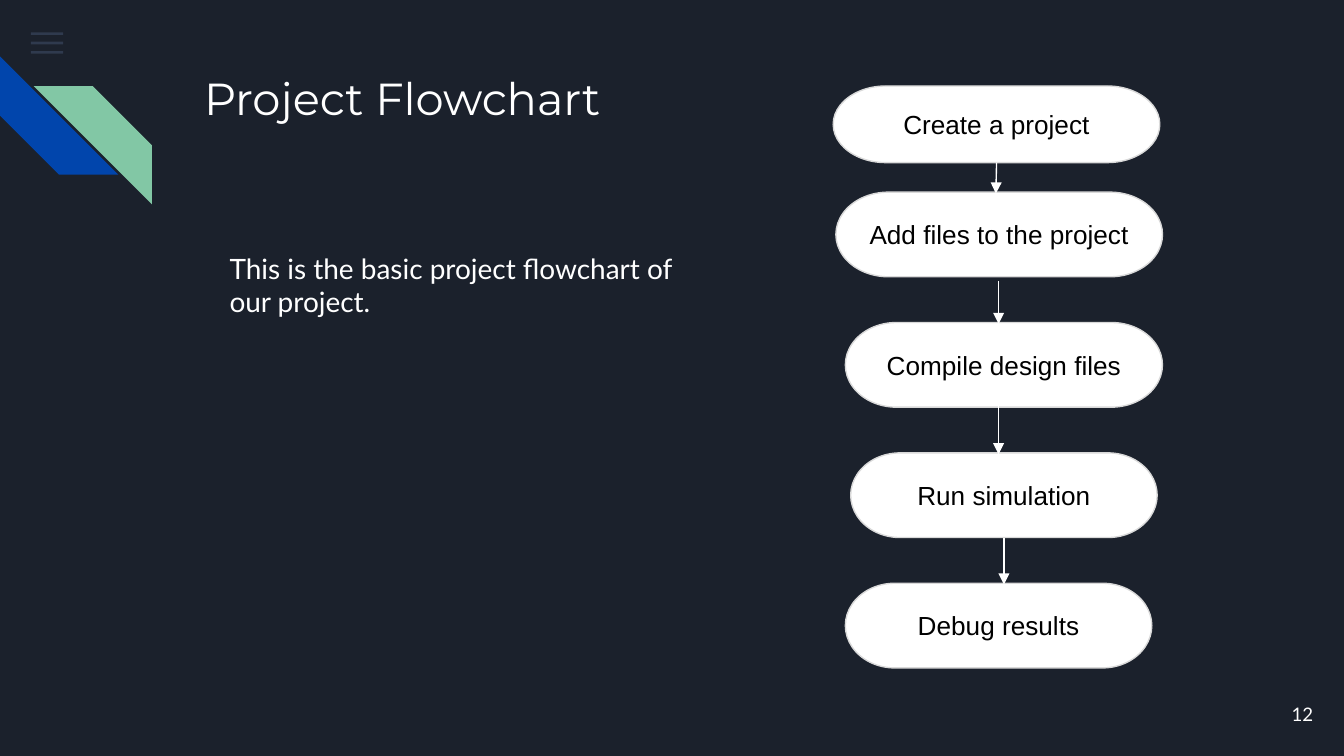
"""Build the project flowchart slide."""
import pptx
import pptx.dml.color
import pptx.enum.shapes
import pptx.enum.text
import pptx.oxml
import pptx.oxml.ns
import pptx.util
from pptx.util import Inches

SHAPE = pptx.enum.shapes.MSO_SHAPE
ALIGN = pptx.enum.text.PP_ALIGN
ANCHOR = pptx.enum.text.MSO_ANCHOR


def rgb(value):
    return pptx.dml.color.RGBColor.from_string(value)


def write(s, text, size=14, font="Arial", color="FFFFFF", align=ALIGN.LEFT, anchor=ANCHOR.TOP):
    tf = s.text_frame
    tf.word_wrap = True
    tf.margin_left = tf.margin_right = tf.margin_top = tf.margin_bottom = Inches(0.1)
    tf.vertical_anchor = anchor
    p = tf.paragraphs[0]
    p.alignment = align
    r = p.add_run()
    r.text = text
    r.font.size = pptx.util.Pt(size)
    r.font.name = font
    r.font.color.rgb = rgb(color)


prs = pptx.Presentation()
prs.slide_width = Inches(10)
prs.slide_height = Inches(10 * 9 / 16)
slide = prs.slides.add_slide(prs.slide_layouts[6])
slide.background.fill.solid()
slide.background.fill.fore_color.rgb = rgb("1B212C")
shapes = slide.shapes
ns = pptx.oxml.ns.nsdecls("a")
qn = pptx.oxml.ns.qn

for i in range(3):
    s = shapes.add_shape(SHAPE.RECTANGLE, Inches(0.23), Inches(0.24 + 0.07 * i), Inches(0.24), Inches(0.02))
    s.shadow.inherit = False
    s.fill.solid()
    s.fill.fore_color.rgb = rgb("55688B")
    s.line.fill.background()
    fill_color = s.element.spPr.find(qn("a:solidFill")).find(qn("a:srgbClr"))
    fill_color.append(pptx.oxml.parse_xml(f'<a:alpha {ns} val="36000"/>'))

for left, top, rotation, color in [(0, 0.42, 270, "0145AC"), (0.25, 0.64, 90, "82C7A5")]:
    s = shapes.add_shape(SHAPE.DIAGONAL_STRIPE, Inches(left), Inches(top), Inches(0.88), Inches(0.88))
    s.shadow.inherit = False
    s.adjustments[0] = 0.5
    s.rotation = rotation
    s.fill.solid()
    s.fill.fore_color.rgb = rgb(color)
    s.line.fill.background()

s = shapes.add_textbox(Inches(1.42), Inches(0.43), Inches(7.7), Inches(1))
write(s, "Project Flowchart", size=24, font="Montserrat")
s = shapes.add_textbox(Inches(1.61), Inches(1.77), Inches(3.73), Inches(0.71))
write(s, "This is the basic project flowchart of our project.", size=15, font="Lato")

steps = [
    ("Create a project", 6.2, 0.64, 2.43, 0.57),
    ("Add files to the project", 6.22, 1.43, 2.43, 0.63),
    ("Compile design files", 6.29, 2.4, 2.36, 0.63),
    ("Run simulation", 6.33, 3.37, 2.28, 0.63),
    ("Debug results", 6.29, 4.34, 2.28, 0.63),
]
boxes = []
for text, *place in steps:
    s = shapes.add_shape(SHAPE.FLOWCHART_TERMINATOR, *map(Inches, place))
    s.shadow.inherit = False
    s.fill.solid()
    s.fill.fore_color.rgb = rgb("FFFFFF")
    s.line.color.rgb = rgb("D9D9D9")
    s.line.width = pptx.util.Pt(0.75)
    write(s, text, color="000000", align=ALIGN.CENTER, anchor=ANCHOR.MIDDLE)
    boxes.append(s)

arrows = [
    (7.42, 1.22, 7.41, 1.44, boxes[0]),
    (7.43, 2.09, 7.43, 2.41, None),
    (7.43, 3.02, 7.43, 3.38, None),
    (7.46, 4, 7.47, 4.35, boxes[3]),
]
for *ends, source in arrows:
    s = shapes.add_connector(pptx.enum.shapes.MSO_CONNECTOR.STRAIGHT, *map(Inches, ends))
    if source:
        s.begin_connect(source, 2)
    s.line.color.rgb = rgb("FFFFFF")
    s.line.width = pptx.util.Pt(0.75)
    s.element.spPr.find(qn("a:ln")).append(pptx.oxml.parse_xml(f'<a:tailEnd {ns} type="triangle"/>'))
    s.element.spPr.append(pptx.oxml.parse_xml(f"<a:effectLst {ns}/>"))

s = shapes.add_textbox(Inches(9.27), Inches(5.1), Inches(0.6), Inches(0.43))
write(s, "12", size=10, font="Lato", align=ALIGN.RIGHT, anchor=ANCHOR.MIDDLE)

prs.save("out.pptx")
